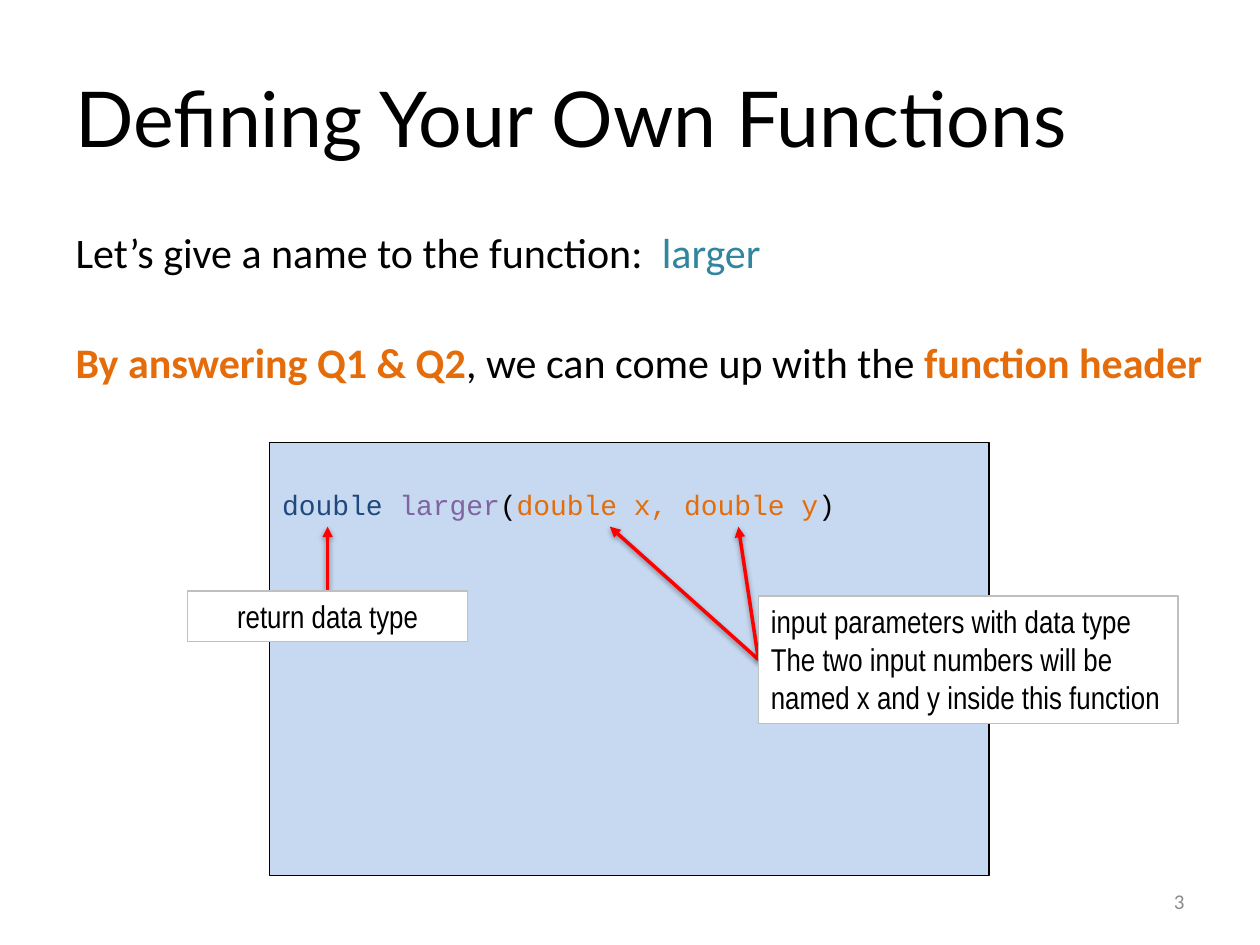
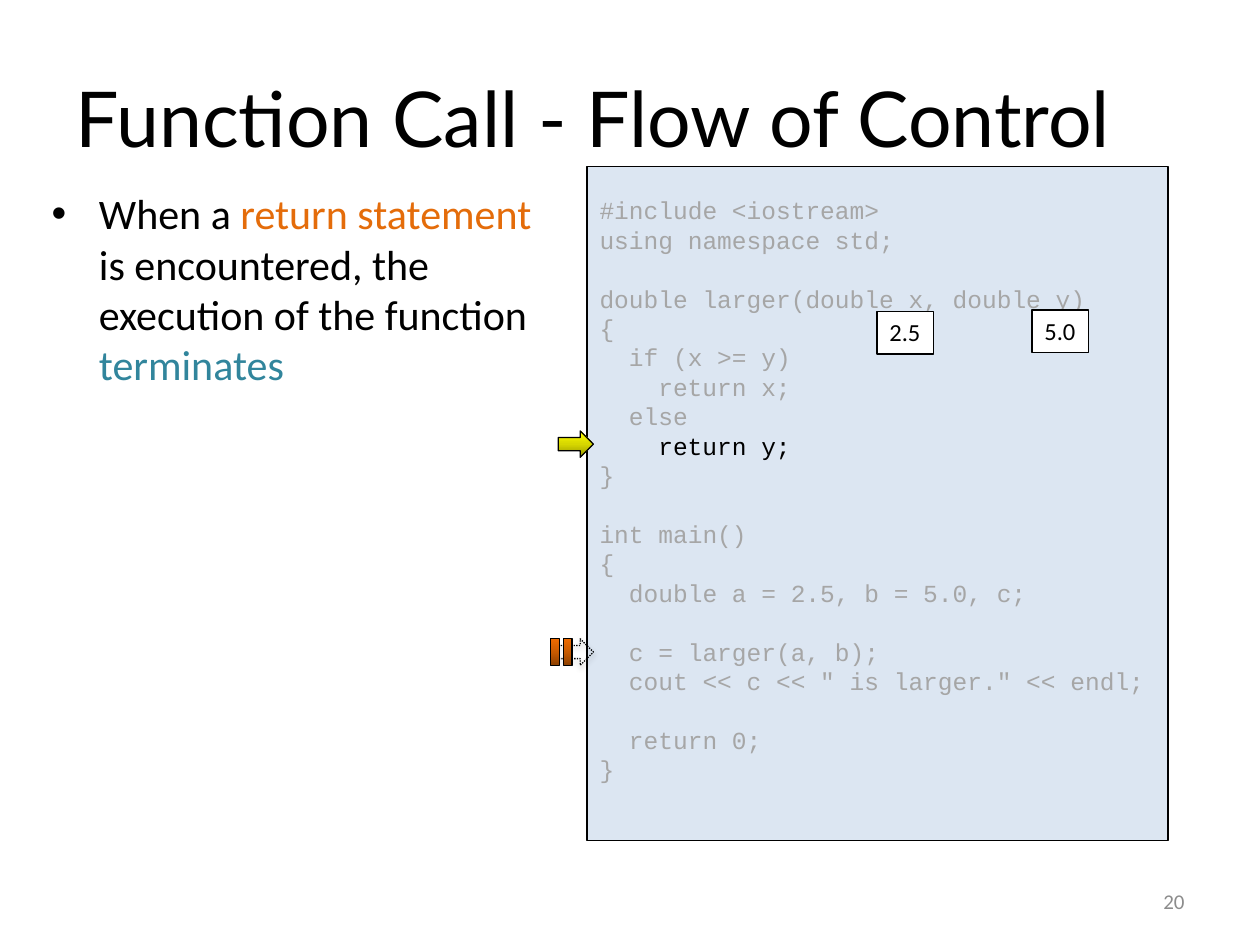
from lxml import etree
from pptx import Presentation
from pptx.dml.color import RGBColor
from pptx.enum.dml import MSO_LINE
from pptx.enum.shapes import MSO_CONNECTOR, MSO_SHAPE
from pptx.enum.text import MSO_ANCHOR, MSO_AUTO_SIZE, PP_ALIGN
from pptx.oxml import parse_xml
from pptx.oxml.ns import nsdecls, qn
from pptx.util import Inches, Pt

RECT, ARROW = MSO_SHAPE.RECTANGLE, MSO_SHAPE.RIGHT_ARROW
STRAIGHT, DOTS = MSO_CONNECTOR.STRAIGHT, MSO_LINE.ROUND_DOT
TOP, MID = MSO_ANCHOR.TOP, MSO_ANCHOR.MIDDLE
LEFT, MIDDLE, RIGHT = PP_ALIGN.LEFT, PP_ALIGN.CENTER, PP_ALIGN.RIGHT
FIXED = MSO_AUTO_SIZE.NONE

BLACK, WHITE, RED = "000000", "FFFFFF", "FF0000"
ORANGE, TEAL, NAVY, PURPLE = "E46C0A", "31859C", "1F497D", "8064A2"
FADED, EDGE, FOOT = "A6A6A6", "BFBFBF", "8C8C8C"
GOLD = ("979700", "D7D700", "FFFF00")
RUST = ("8D4000", "C85B00", "EE6B00")
HEAD, BODY, CODE, NOTE = "Lato", "Calibri", "Courier New", "Arial Narrow"

# The grid has 40 columns and 30 rows; a box is (column, row, columns, rows).
WIDE, HIGH = Inches(10), Inches(7.5)
COL, ROW = WIDE / 40, HIGH / 30
LEAD = 1.2  # line pitch as a share of the type size
TITLE_BOX = (2, 1.2, 36, 5)
PAGE_BOX = (28.68, 27.8, 9.32, 1.6)

# Each code line: indent level, blank lines before it, text, colour.
LINES = [
    (0, 0, "#include <iostream>", FADED),
    (0, 0, "using namespace std;", FADED),
    (0, 1, "double larger(double x, double y)", FADED),
    (0, 0, "{", FADED),
    (1, 0, "if (x >= y)", FADED),
    (2, 0, "return x;", FADED),
    (1, 0, "else", FADED),
    (2, 0, "return y;", BLACK),
    (0, 0, "}", FADED),
    (0, 1, "int main()", FADED),
    (0, 0, "{", FADED),
    (1, 0, "double a = 2.5, b = 5.0, c;", FADED),
    (1, 1, "c = larger(a, b);", FADED),
    (1, 0, 'cout << c << " is larger." << endl;', FADED),
    (1, 1, "return 0;", FADED),
    (0, 0, "}", FADED),
]


def color(code):
    """Turn a hex string into a colour."""
    return RGBColor.from_string(code)


def emu(box):
    """Turn grid units into slide units."""
    return [round(n * unit) for n, unit in zip(box, (COL, ROW) * 2)]


def inner(box, x, y, *size):
    """Place a part by its offset from the corner of a box."""
    return (box[0] + x, box[1] + y, *size)


def write(shape, *runs, size=24, font=BODY, align=LEFT, before=0,
          margin=0, hang=0, bullet=None):
    """Add one paragraph; a run is text, or (text, colour[, bold])."""
    frame = shape.text_frame
    first = frame.paragraphs[0]
    para = frame.add_paragraph() if first.runs else first
    para.alignment = align
    para.line_spacing = Pt(LEAD * size)
    para.space_before, para.space_after = Pt(before), Pt(0)
    props = para._p.get_or_add_pPr()
    props.set("marL", str(Pt(margin)))
    props.set("indent", str(-Pt(hang)))
    if bullet:
        etree.SubElement(props, qn("a:buChar")).set("char", bullet)
    else:
        etree.SubElement(props, qn("a:buNone"))
    for item in runs:
        text, tint, *bold = (item, BLACK) if isinstance(item, str) else item
        run = para.add_run()
        run.text = text
        run.font.size, run.font.name = Pt(size), font
        run.font.bold = bool(bold and bold[0])
        run.font.color.rgb = color(tint)


def setup(shape, anchor=TOP, wrap=True, top=0.05):
    """Set how text sits in a shape."""
    frame = shape.text_frame
    frame.auto_size, frame.word_wrap = FIXED, wrap
    frame.vertical_anchor, frame.margin_top = anchor, Inches(top)
    return shape


def shadow(shape):
    """Give a shape or line a soft shadow straight below."""
    props = shape._element.spPr
    for old in props.findall(qn("a:effectLst")):
        props.remove(old)
    props.append(parse_xml(
        f'<a:effectLst {nsdecls("a")}><a:outerShdw blurRad="{Pt(3.1)}" '
        f'dist="{Pt(1.6)}" dir="5400000" rotWithShape="0">'
        f'<a:srgbClr val="{BLACK}"><a:alpha val="38000"/></a:srgbClr>'
        '</a:outerShdw></a:effectLst>'))


def draw(shapes, kind, box, fill=None, edge=BLACK):
    """Draw a shape with a plain, a three-stop or no fill."""
    shape = shapes.add_shape(kind, *emu(box))
    shape.shadow.inherit = False
    shape.line.color.rgb, shape.line.width = color(edge), Pt(0.75)
    if isinstance(fill, str):
        shape.fill.solid()
        shape.fill.fore_color.rgb = color(fill)
        return shape
    shape.fill.background()
    if fill:
        stops = "".join(
            f'<a:gs pos="{i * 50000}"><a:srgbClr val="{tint}"/></a:gs>'
            for i, tint in enumerate(fill))
        props = shape._element.spPr
        props.replace(props.find(qn("a:noFill")), parse_xml(
            f'<a:gradFill {nsdecls("a")} rotWithShape="1"><a:gsLst>{stops}'
            '</a:gsLst><a:lin ang="16200000" scaled="0"/></a:gradFill>'))
    return shape


def point(shapes, start, end):
    """Draw a red arrow from one grid point to another."""
    line = shapes.add_connector(STRAIGHT, *emu(start + end))
    line.line.color.rgb, line.line.width = color(RED), Pt(2)
    etree.SubElement(line.line._get_or_add_ln(),
                     qn("a:tailEnd")).set("type", "triangle")
    shadow(line)


def label(shapes, box, *texts, align=LEFT):
    """Draw a white note with one paragraph for each text."""
    note = setup(draw(shapes, RECT, box, WHITE, EDGE))
    for text in texts:
        write(note, text, size=18, font=NOTE, align=align)


def start(deck, title, page, box):
    """Add a slide with title and page number; return it and its body."""
    slide = deck.slides.add_slide(deck.slide_layouts[1])
    head, body = slide.placeholders
    for shape, area in ((head, TITLE_BOX), (body, box)):
        shape.left, shape.top, shape.width, shape.height = emu(area)
    write(setup(head, MID), title, size=44, font=HEAD)
    foot = setup(slide.shapes.add_textbox(*emu(PAGE_BOX)), MID)
    write(foot, (page, FOOT), size=12, align=RIGHT)
    return slide.shapes, setup(body)


def header(shapes, box):
    """Show the function header with notes on its parts."""
    panel = setup(draw(shapes, RECT, box, "C6D9F1"), top=0.36)
    write(panel, ("double ", NAVY), ("larger", PURPLE), "(",
          ("double x, double y", ORANGE), ")", size=16, font=CODE)
    tip = 2.68
    result = inner(box, -2.6, 4.72, 8.88, 1.6)
    inputs = inner(box, 15.52, 4.88, 13.32, 4.04)
    side = inner(inputs, 0, inputs[3] / 2)
    for x in (10.8, 14.88):
        point(shapes, side, inner(box, x, tip))
    point(shapes, inner(result, result[2] / 2, 0), inner(box, 1.84, tip))
    label(shapes, inputs, "input parameters with data type",
          "The two input numbers will be named x and y inside this function")
    label(shapes, result, "return data type", align=MIDDLE)


def pause(shapes, box):
    """Mark a waiting call: a dotted arrow behind two bars."""
    group = shapes.add_group_shape().shapes
    arrow = draw(group, ARROW, box)
    arrow.line.dash_style = DOTS
    shadow(arrow)
    for x in (-0.24, 0.16):
        draw(group, RECT, inner(box, x, 0, 0.28, box[3]), RUST)


def flow(shapes, box):
    """Show the program, its marks and the values passed in."""
    size = 14
    pitch = LEAD * size
    panel = setup(draw(shapes, RECT, box, "DCE6F2"), top=0.23)
    for level, blank, text, tint in LINES:
        write(panel, (text, tint), size=size, font=CODE,
              before=blank * pitch, margin=level * pitch)
    draw(shapes, ARROW, inner(box, -0.92, 8.4, 1.12, 0.84), GOLD)
    pause(shapes, inner(box, -0.92, 15, 1.12, 0.84))
    for x, y, text in ((9.2, 4.6, "2.5"), (14.12, 4.56, "5.0")):
        value = draw(shapes, RECT, inner(box, x, y, 1.8, 1.36), WHITE)
        write(setup(value, wrap=False), text, size=size)


def define(deck):
    """Build the slide on defining a function."""
    shapes, body = start(deck, "Defining Your Own Functions", "3",
                         (2, 7, 38, 19.8))
    write(body, "Let’s give a name to the function:  ", ("larger", TEAL),
          before=4.8)
    write(body, ("By answering Q1 & Q2", ORANGE, True),
          ", we can come up with the ", ("function header", ORANGE, True),
          before=33.6)
    header(shapes, (8.56, 14.04, 22.84, 13.76))


def control(deck):
    """Build the slide on the flow of control."""
    shapes, body = start(deck, "Function Call - Flow of Control", "20",
                         (1.24, 5.76, 16.24, 21.48))
    write(body, "When a ", ("return statement ", ORANGE),
          "is encountered, the execution of the function ",
          ("terminates", TEAL), before=6, margin=27, hang=27, bullet="•")
    flow(shapes, (18.64, 5.28, 18.44, 21.4))


deck = Presentation()
deck.slide_width, deck.slide_height = WIDE, HIGH
define(deck)
control(deck)
deck.save("out.pptx")
